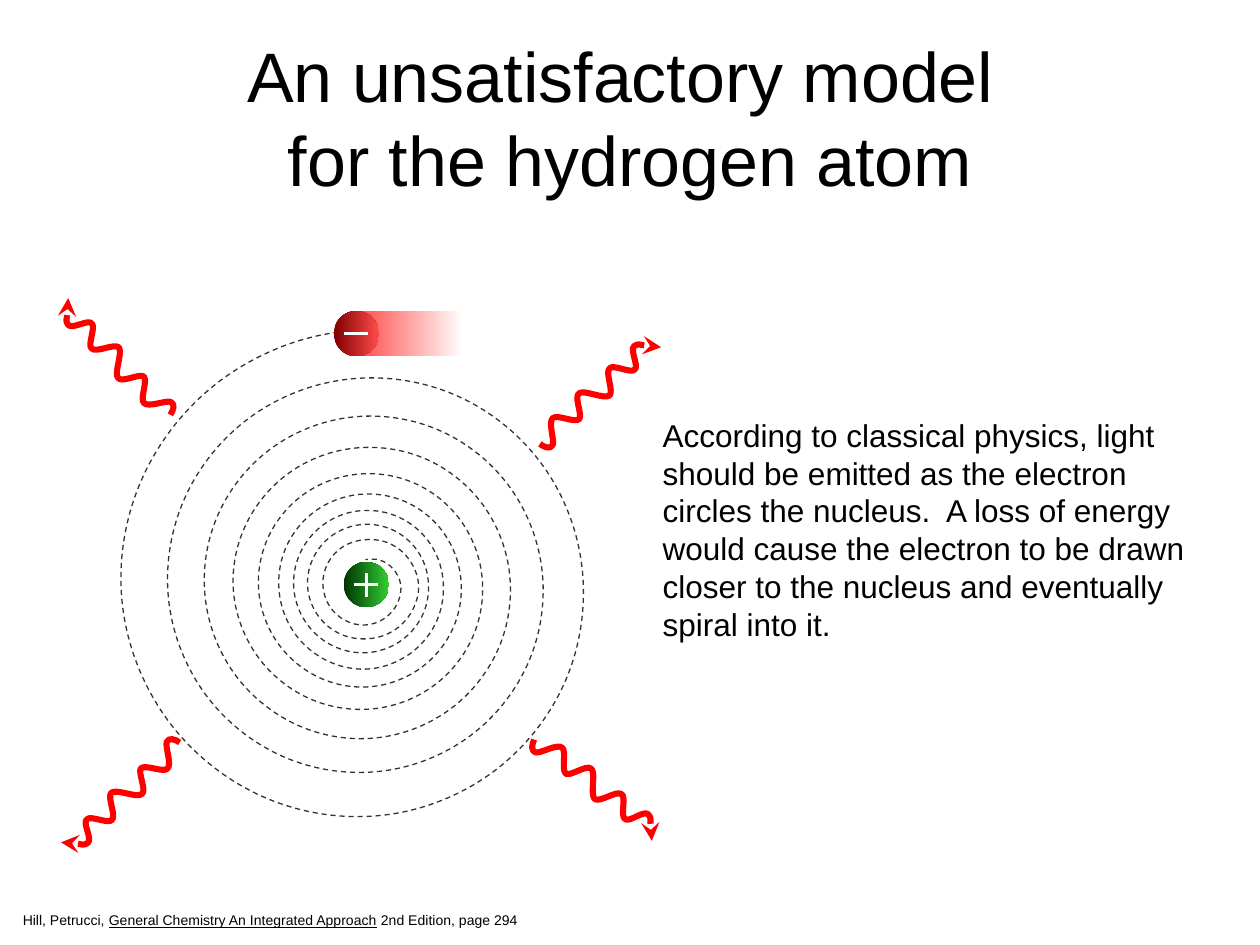
import math
from itertools import pairwise

from lxml import etree
from pptx import Presentation
from pptx import util as u
from pptx.dml.color import RGBColor
from pptx.enum import dml, shapes, text
from pptx.oxml.ns import qn

COLORS = {
    "text": "000000", "orbit": "333333", "wave": "FF0000", "sign": "FFFFFF",
    "electron_dark": "800000", "electron_light": "FF4B4B", "trail_end": "FFFFFF",
    "nucleus_dark": "003300", "nucleus_light": "33CC33",
}

deck = Presentation()
deck.slide_width, deck.slide_height = u.Cm(25.4), u.Cm(19.05)
page = deck.slides.add_slide(deck.slide_layouts[6])


def add_text(left, top, width, height, size, paragraphs):
    """Add a text box; each paragraph is a list of (text, underlined) runs."""
    box = page.shapes.add_textbox(u.Cm(left), u.Cm(top), u.Cm(width), u.Cm(height))
    frame = box.text_frame
    frame.word_wrap = False
    for index, runs in enumerate(paragraphs):
        para = frame.paragraphs[0] if index == 0 else frame.add_paragraph()
        for words, underlined in runs:
            if words == "\n":
                para.add_line_break()
                continue
            span = para.add_run()
            span.text = words
            span.font.name = "Arial"
            span.font.size = u.Pt(size)
            span.font.underline = underlined
            span.font.color.rgb = RGBColor.from_string(COLORS["text"])
    return box


def add_curve(points, color, width):
    """Draw an open cubic path: a start, then two controls and an end per curve."""
    places = [(u.Cm(x), u.Cm(y)) for x, y in points]
    builder = page.shapes.build_freeform(*places[0])
    builder.add_line_segments(places[1:], close=False)
    curve = builder.convert_to_shape()
    lines = list(curve._element.iter(qn("a:lnTo")))
    for first in range(0, len(lines), 3):
        cubic = etree.Element(qn("a:cubicBezTo"))
        lines[first].addprevious(cubic)
        for line in lines[first:first + 3]:
            cubic.append(line[0])
            line.getparent().remove(line)
    curve.shadow.inherit = False
    curve.fill.background()
    curve.line.color.rgb = RGBColor.from_string(COLORS[color])
    curve.line.width = u.Pt(width)
    return curve


# Title, explanation and citation
title = add_text(1.27, 0.76, 22.86, 3.18, 40, [
    [("An unsatisfactory model ", False), ("\n", False), ("for the hydrogen atom", False)]])
title.text_frame.word_wrap = True
title.text_frame.vertical_anchor = text.MSO_ANCHOR.MIDDLE
title.text_frame.paragraphs[0].alignment = text.PP_ALIGN.CENTER

explanation = [
    "According to classical physics, light",
    "should be emitted as the electron",
    "circles the nucleus.  A loss of energy",
    "would cause the electron to be drawn",
    "closer to the nucleus and eventually",
    "spiral into it.",
]
note = add_text(13.11, 8.26, 11.02, 4.83, 18, [[(line, False)] for line in explanation])
citation = add_text(0.21, 18.25, 10.54, 0.58, 8, [[
    ("Hill, Petrucci, ", False),
    ("General Chemistry An Integrated Approach", True),
    (" 2nd Edition, page 294", False)]])
for box in (note, citation):
    box.text_frame.auto_size = text.MSO_AUTO_SIZE.SHAPE_TO_FIT_TEXT

# Spiral path: radius at each quarter turn, counter-clockwise from the top
CENTER_X, CENTER_Y = 7.37, 11.79
STEPS = 3
radii = [
    5.13, 4.93, 4.67, 4.39, 4.17, 3.99, 3.78, 3.58, 3.40, 3.25, 3.10, 2.92, 2.77,
    2.67, 2.51, 2.36, 2.24, 2.16, 2.06, 1.93, 1.83, 1.75, 1.70, 1.57, 1.50, 1.45,
    1.37, 1.27, 1.22, 1.17, 1.09, 1.07, 0.91, 0.86, 0.81, 0.71, 0.51,
]
knots = []
for quarter, (outer, inner) in enumerate(pairwise(radii)):
    for step in range(STEPS):
        part = step / STEPS
        angle = (quarter + part) * math.pi / 2
        radius = outer + (inner - outer) * part
        knots.append((CENTER_X - radius * math.sin(angle),
                      CENTER_Y - radius * math.cos(angle)))
knots.append((CENTER_X, CENTER_Y - radii[-1]))

# Controls lie along the line between each knot's neighbours
REACH = 0.175
padded = [(2 * CENTER_X - knots[1][0], knots[1][1]), *knots,
          (2 * CENTER_X - knots[-2][0], knots[-2][1])]
pulls = [((after[0] - before[0]) * REACH, (after[1] - before[1]) * REACH)
         for before, after in zip(padded, padded[2:])]
spiral = [knots[0]]
for (start, leave), (end, arrive) in pairwise(zip(knots, pulls)):
    spiral += [(start[0] + leave[0], start[1] + leave[1]),
               (end[0] - arrive[0], end[1] - arrive[1]), end]
orbit = add_curve(spiral, "orbit", 0.75)
orbit.line.dash_style = dml.MSO_LINE.DASH

# Electron with its trail as one group, then the nucleus: bodies and sign strokes
electron = page.shapes.add_group_shape()
particles = [
    (electron.shapes,
     [(shapes.MSO_SHAPE.RECTANGLE, 7.21, 6.27, 2.13, "electron_light", "trail_end"),
      (shapes.MSO_SHAPE.OVAL, 6.73, 6.27, 0.91, "electron_dark", "electron_light")],
     [(6.93, 6.73, 7.42, 6.73)]),
    (page.shapes,
     [(shapes.MSO_SHAPE.OVAL, 6.93, 11.33, 0.91, "nucleus_dark", "nucleus_light")],
     [(7.14, 11.79, 7.62, 11.79), (7.38, 12.03, 7.38, 11.55)]),
]
for holder, bodies, strokes in particles:
    for kind, left, top, width, *stop_colors in bodies:
        body = holder.add_shape(kind, u.Cm(left), u.Cm(top), u.Cm(width), u.Cm(0.91))
        body.shadow.inherit = False
        body.line.fill.background()
        body.fill.gradient()
        body.fill.gradient_angle = 0
        for stop, color in zip(body.fill.gradient_stops, stop_colors):
            stop.color.rgb = RGBColor.from_string(COLORS[color])
    for ends in strokes:
        stroke = holder.add_connector(
            shapes.MSO_CONNECTOR.STRAIGHT, *(u.Cm(value) for value in ends))
        stroke.line.color.rgb = RGBColor.from_string(COLORS["sign"])
        stroke.line.width = u.Pt(1.75)
        etree.SubElement(stroke._element.spPr, qn("a:effectLst"))

# One light wave around its own middle, turned into four places
wave = [
    (-1.16, -1.02),
    (-1.21, -0.91), (-1.23, -0.79), (-1.13, -0.76),
    (-1.03, -0.74), (-0.70, -0.94), (-0.60, -0.86),
    (-0.50, -0.79), (-0.62, -0.41), (-0.52, -0.33),
    (-0.42, -0.28), (-0.09, -0.53), (-0.01, -0.43),
    (0.09, -0.36), (-0.04, 0.08), (0.06, 0.18),
    (0.17, 0.25), (0.50, 0.00), (0.60, 0.08),
    (0.70, 0.13), (0.57, 0.53), (0.67, 0.58),
    (0.75, 0.66), (1.03, 0.41), (1.13, 0.48),
    (1.21, 0.56), (1.18, 0.91), (1.21, 1.02),
]
wave_places = [(11.93, 15.93, 0), (2.43, 7.19, 188.1), (12.10, 8.00, -79.3), (2.43, 15.95, 99.2)]
for middle_x, middle_y, turn in wave_places:
    cos, sin = math.cos(math.radians(turn)), math.sin(math.radians(turn))
    light = add_curve([(middle_x + x * cos - y * sin, middle_y + x * sin + y * cos)
                       for x, y in wave], "wave", 3.5)
    etree.SubElement(light.line._get_or_add_ln(), qn("a:tailEnd"), type="stealth")

deck.save("out.pptx")
